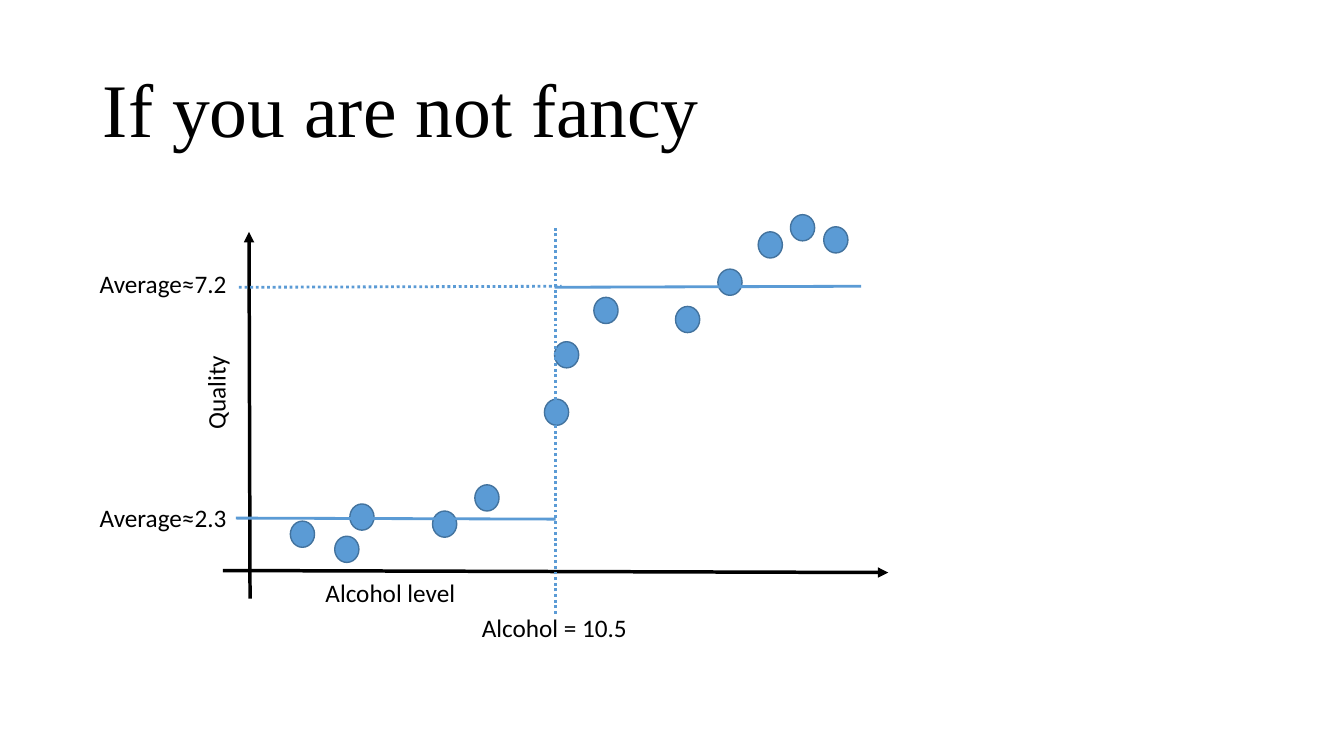
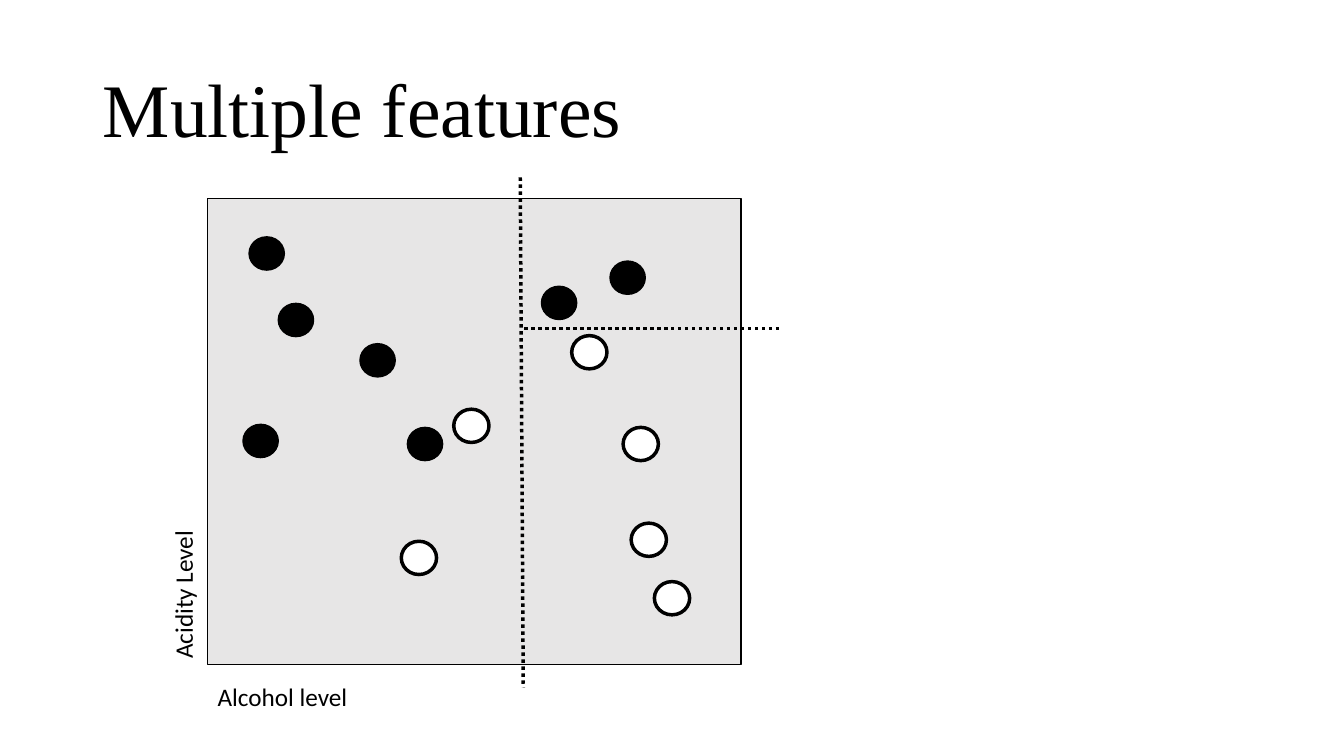
from lxml.etree import SubElement
from pptx import Presentation
from pptx.dml.color import RGBColor
from pptx.enum.dml import MSO_LINE
from pptx.enum.shapes import MSO_CONNECTOR, MSO_SHAPE
from pptx.enum.text import MSO_ANCHOR as Anchor, MSO_AUTO_SIZE as AutoSize, PP_ALIGN as Align
from pptx.oxml.ns import qn
from pptx.util import Emu, Pt

PX = 9144  # EMU per px, 100 px to the inch
BLACK, WHITE, GREY = "000000", "FFFFFF", "E7E6E6"
BLUE, DARK_BLUE = "5B9BD5", "43739E"


def px(*lengths):
    return [Emu(length * PX) for length in lengths]


def paint(color_format, hex_color):
    color_format.rgb = RGBColor.from_string(hex_color)


def apply(target, values):
    for name, value in values.items():
        setattr(target, name, value)


class Deck:
    TITLE_FONT = {"name": "Times New Roman", "size": Pt(54), "bold": False}
    LABEL_FONT = {"name": "Calibri", "size": Pt(18)}
    TITLE_FRAME = {"vertical_anchor": Anchor.MIDDLE, "word_wrap": True,
                   "auto_size": AutoSize.NONE}
    TITLE_PARAGRAPH = {"alignment": Align.LEFT, "line_spacing": 0.9}
    TITLE_PLACE = dict(zip(("left", "top", "width", "height"), px(92, 40, 1150, 145)))

    def __init__(self):
        self.presentation = Presentation()
        size = px(1333, 750)
        apply(self.presentation, dict(zip(("slide_width", "slide_height"), size)))
        self.slide = None

    def add_slide(self, heading):
        self.slide = self.presentation.slides.add_slide(self.presentation.slide_layouts[5])
        title = self.slide.shapes.title
        apply(title, self.TITLE_PLACE)
        apply(title.text_frame, self.TITLE_FRAME)
        apply(title.text_frame.paragraphs[0], self.TITLE_PARAGRAPH)
        self.add_words(title.text_frame, heading, self.TITLE_FONT)

    def add_words(self, frame, words, font):
        run = frame.paragraphs[0].add_run()
        run.text = words
        apply(run.font, font)
        paint(run.font.color, BLACK)

    def label(self, words, left, top, width, rotation=0, wrap=False):
        box = self.slide.shapes.add_textbox(*px(left, top, width, 40))
        box.rotation = rotation
        apply(box.text_frame, {"word_wrap": wrap, "auto_size": AutoSize.SHAPE_TO_FIT_TEXT})
        self.add_words(box.text_frame, words, self.LABEL_FONT)

    def shape(self, kind, place, fill, outline=BLACK, weight=1):
        item = self.slide.shapes.add_shape(kind, *px(*place))
        item.shadow.inherit = False
        item.fill.solid()
        paint(item.fill.fore_color, fill)
        paint(item.line.color, outline)
        item.line.width = Pt(weight)

    def points(self, corners, size, fill, outline=BLACK, weight=1):
        for corner in corners:
            self.shape(MSO_SHAPE.OVAL, corner + size, fill, outline, weight)

    def line(self, start, end, color=BLACK, weight=2.5, dotted=False, arrow=False):
        link = self.slide.shapes.add_connector(MSO_CONNECTOR.STRAIGHT, *px(*start, *end))
        paint(link.line.color, color)
        link.line.width = Pt(weight)
        if dotted:
            link.line.dash_style = MSO_LINE.ROUND_DOT
        properties = link._element.spPr
        if arrow:
            SubElement(properties.find(qn("a:ln")), qn("a:tailEnd"), type="triangle")
        SubElement(properties, qn("a:effectLst"))


def build_averages(deck):
    deck.add_slide("If you are not fancy")

    # Axes
    deck.line((248, 594), (247, 230), arrow=True)
    deck.line((221, 566), (881, 568), arrow=True)
    deck.label("Quality", 167, 369, 94, rotation=270)
    deck.label("Alcohol level", 313, 568, 150)

    # Wines
    wines = [(288, 517), (347, 500), (332, 532), (429, 507), (471, 481), (540, 396), (550, 339),
             (589, 295), (670, 304), (712, 267), (752, 230), (784, 213), (817, 225)]
    deck.points(wines, (24, 26), BLUE, DARK_BLUE)

    # Average on each side of the split
    deck.line((550, 285), (854, 284), BLUE, 2)
    deck.line((234, 514), (551, 515), BLUE, 2)
    deck.line((551, 609), (551, 225), BLUE, 2, dotted=True)
    deck.line((237, 285), (557, 284), BLUE, 2, dotted=True)
    deck.label("Alcohol = 10.5", 468, 603, 199, wrap=True)
    for average, top in (("7.2", 261), ("2.3", 493)):
        deck.label(f"Average≈{average}", 89, top, 148)


def build_features(deck):
    deck.add_slide("Multiple features")

    # Feature plane
    deck.shape(MSO_SHAPE.RECTANGLE, (206, 197, 529, 462), GREY)
    deck.label("Alcohol level", 206, 671, 150)
    deck.label("Acidity Level", 107, 569, 149, rotation=270)

    # Splits
    deck.line((516, 176), (519, 682), dotted=True)
    deck.line((520, 326), (773, 326), dotted=True)

    # Two classes of wine
    wine_size = (35, 33)
    dark_wines = [(247, 235), (276, 301), (357, 341), (241, 421), (404, 424), (605, 259),
                  (537, 284)]
    light_wines = [(450, 406), (618, 424), (567, 333), (398, 537), (626, 519), (649, 577)]
    deck.points(dark_wines, wine_size, BLACK)
    deck.points(light_wines, wine_size, WHITE, weight=2.5)


def main():
    deck = Deck()
    build_averages(deck)
    build_features(deck)
    deck.presentation.save("out.pptx")


if __name__ == "__main__":
    main()
